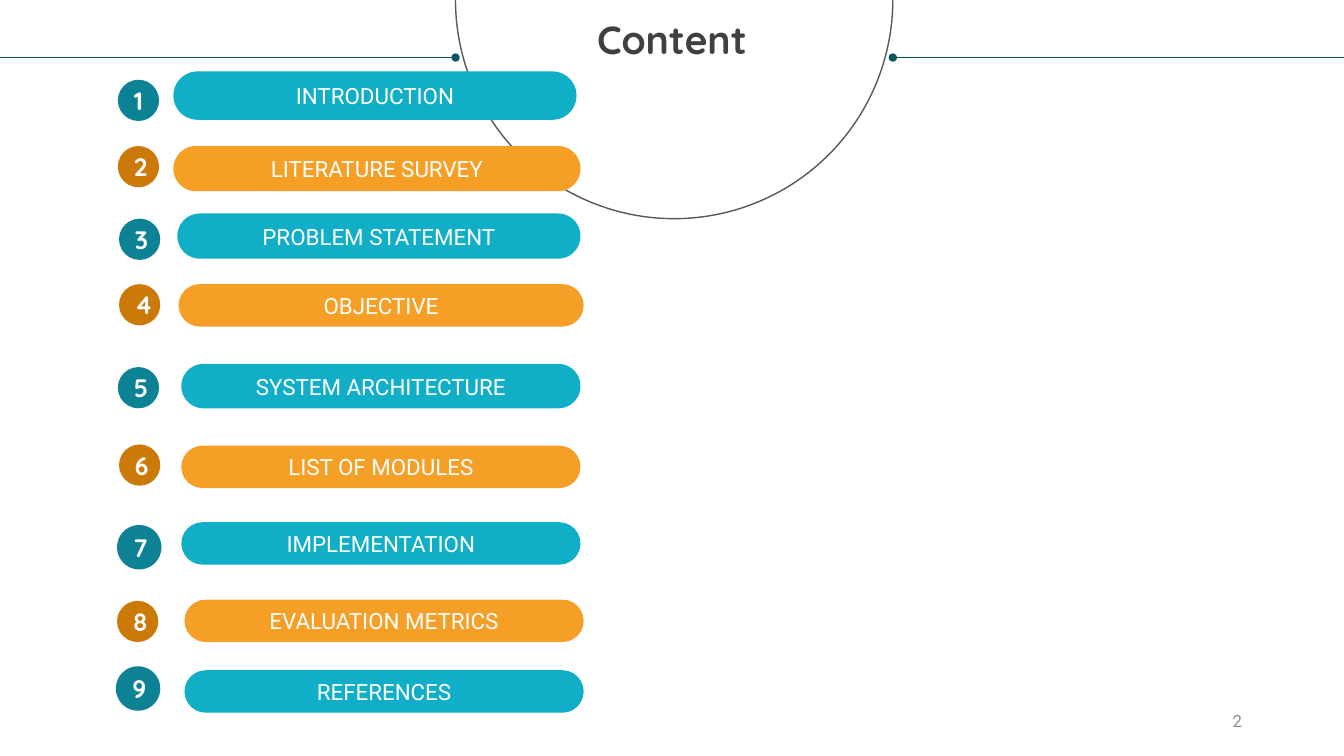
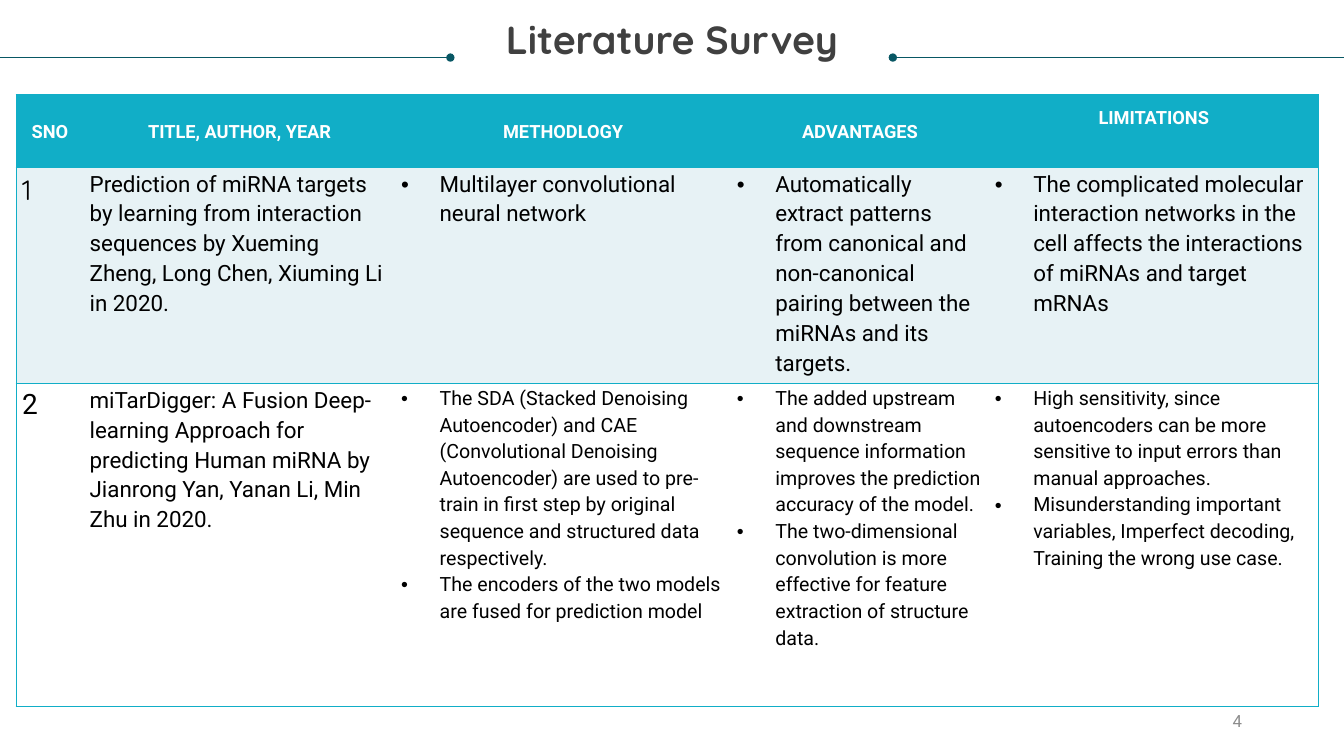
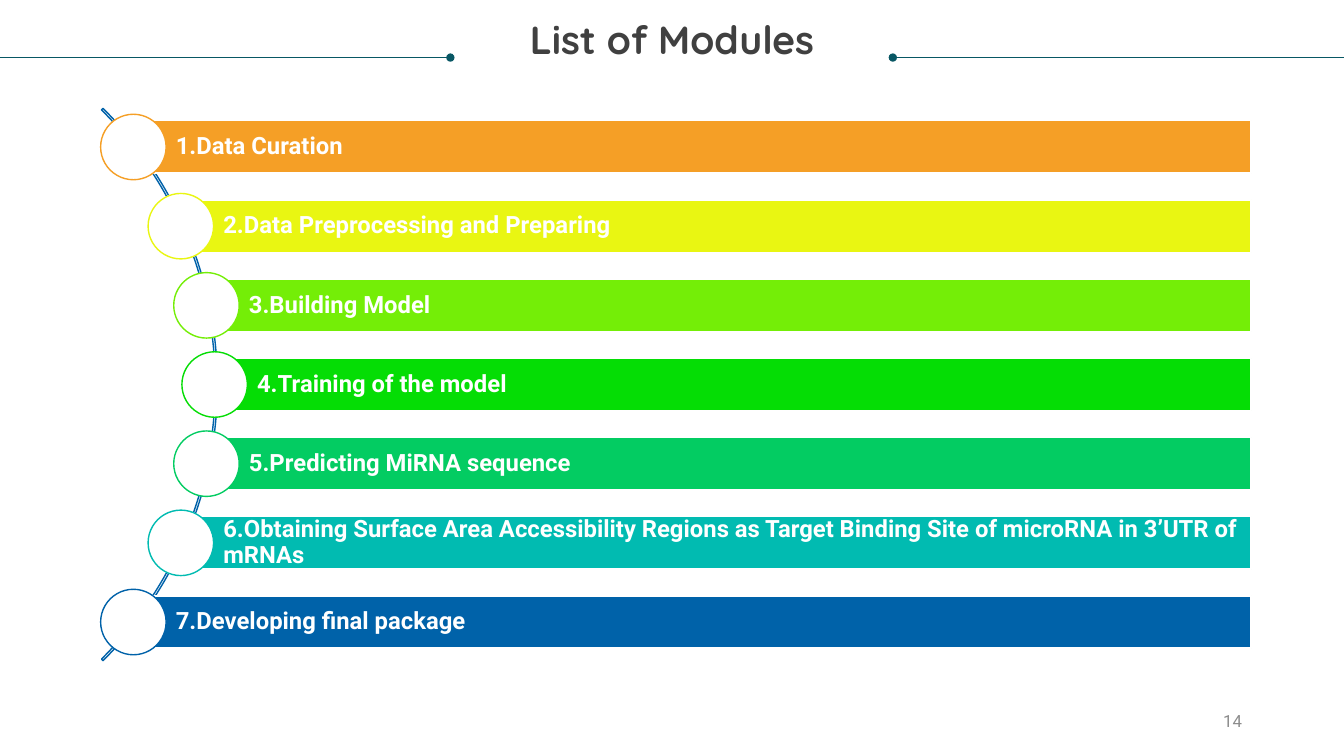
from math import sqrt

from lxml.etree import SubElement
from pptx import Presentation
from pptx.dml.color import RGBColor
from pptx.enum.shapes import MSO_CONNECTOR as Connector, MSO_SHAPE as Preset
from pptx.enum.text import MSO_ANCHOR as Anchor, PP_ALIGN as Align
from pptx.oxml.ns import qn
from pptx.util import Cm, Pt

WHITE = RGBColor(0xFF, 0xFF, 0xFF)
BLACK = RGBColor(0x00, 0x00, 0x00)
TITLE_GREY = RGBColor(0x40, 0x40, 0x40)
CIRCLE_GREY = RGBColor(0x58, 0x58, 0x58)
NUMBER_GREY = RGBColor(0x8C, 0x8C, 0x8C)
RULE_TEAL = RGBColor(0x08, 0x57, 0x64)
TEAL = RGBColor(0x11, 0xAE, 0xC7)
DARK_TEAL = RGBColor(0x0D, 0x82, 0x95)
ORANGE = RGBColor(0xF5, 0x9F, 0x26)
DARK_ORANGE = RGBColor(0xCB, 0x7A, 0x09)
PALE_BLUE = RGBColor(0xE7, 0xF2, 0xF5)
YELLOW = RGBColor(0xE9, 0xF6, 0x12)
LIME = RGBColor(0x74, 0xEE, 0x07)
GREEN = RGBColor(0x05, 0xDD, 0x05)
EMERALD = RGBColor(0x03, 0xCC, 0x62)
TURQUOISE = RGBColor(0x01, 0xBB, 0xB1)
BLUE = RGBColor(0x00, 0x62, 0xA9)

HEADING_FONT = "Quicksand"
BODY_FONT = "Roboto"
SLIDE_WIDTH = 33.87
SLIDE_HEIGHT = 19.05

CONTENTS = [
    ("INTRODUCTION", (1.45, 0, 10.16, 1.22), (0.05, 0.21, 1.04)),
    ("LITERATURE SURVEY", (1.45, 1.88, 10.26, 1.14), (0.05, 1.88, 1.04)),
    ("PROBLEM STATEMENT", (1.55, 3.58, 10.16, 1.14), (0.08, 3.71, 1.04)),
    ("OBJECTIVE", (1.58, 5.36, 10.21, 1.07), (0.08, 5.36, 1.04)),
    ("SYSTEM ARCHITECTURE", (1.65, 7.37, 10.06, 1.12), (0.05, 7.45, 1.04)),
    ("LIST OF MODULES", (1.65, 9.43, 10.06, 1.07), (0.08, 9.4, 1.04)),
    ("IMPLEMENTATION", (1.65, 11.36, 10.06, 1.07), (0.03, 11.43, 1.12)),
    ("EVALUATION METRICS", (1.73, 13.31, 10.06, 1.07), (0.03, 13.34, 1.04)),
    ("REFERENCES", (1.73, 15.09, 10.06, 1.07), (0, 14.99, 1.12)),
]

SURVEY_HEADINGS = ["SNO", "TITLE, AUTHOR, YEAR", "METHODLOGY", "ADVANTAGES", "LIMITATIONS"]
SURVEY_COLUMNS = [1.7, 7.85, 8.46, 6.5, 8.31]
SURVEY_ROWS = [1.83, 5.44, 8.13]
SURVEY_STYLES = [(PALE_BLUE, HEADING_FONT, 16), (WHITE, BODY_FONT, 14)]
SURVEY_PAPERS = [
    [
        ["1"],
        ["Prediction of miRNA targets by learning from interaction sequences by "
         "Xueming Zheng, Long Chen, Xiuming Li in 2020."],
        ["Multilayer convolutional neural network"],
        ["Automatically extract patterns from canonical and non-canonical pairing "
         "between the miRNAs and its targets."],
        ["The complicated molecular interaction networks in the cell affects the "
         "interactions of miRNAs and target mRNAs"],
    ],
    [
        ["2"],
        ["miTarDigger: A Fusion Deep-learning Approach for predicting Human miRNA by "
         "Jianrong Yan, Yanan Li, Min Zhu in 2020."],
        ["The SDA (Stacked Denoising Autoencoder) and CAE (Convolutional Denoising "
         "Autoencoder) are used to pre-train in first step by original sequence and "
         "structured data respectively.",
         "The encoders of the two models are fused for prediction model"],
        ["The added upstream and downstream sequence information improves the "
         "prediction accuracy of the model.",
         "The two-dimensional convolution is more effective for feature extraction "
         "of structure data."],
        ["High sensitivity, since autoencoders can be more sensitive to input errors "
         "than manual approaches.",
         "Misunderstanding important variables, Imperfect decoding, Training the "
         "wrong use case."],
    ],
]

MODULES = [
    ("1.Data Curation", ORANGE),
    ("2.Data Preprocessing and Preparing", YELLOW),
    ("3.Building Model", LIME),
    ("4.Training of the model", GREEN),
    ("5.Predicting MiRNA sequence", EMERALD),
    ("6.Obtaining Surface Area Accessibility Regions as Target Binding Site of "
     "microRNA in 3’UTR of mRNAs", TURQUOISE),
    ("7.Developing final package", BLUE),
]


def in_cm(*lengths):
    return [Cm(length) for length in lengths]


def add_run(paragraph, text, size, color, font=BODY_FONT, bold=False):
    run = paragraph.add_run()
    run.text = text
    run.font.name = font
    run.font.size = Pt(size)
    run.font.bold = bold
    run.font.color.rgb = color


def set_margins(holder, left, top, right, bottom):
    holder.margin_left, holder.margin_top = in_cm(left, top)
    holder.margin_right, holder.margin_bottom = in_cm(right, bottom)


def add_figure(slide, preset, box, fill=None, line=None):
    shape = slide.shapes.add_shape(preset, *in_cm(*box))
    shape.shadow.inherit = False
    if fill is None:
        shape.fill.background()
    else:
        shape.fill.solid()
        shape.fill.fore_color.rgb = fill
    if line is None:
        shape.line.fill.background()
    else:
        shape.line.color.rgb = line
        shape.line.width = Pt(1)
    return shape


def first_paragraph(shape, align, anchor=Anchor.MIDDLE):
    frame = shape.text_frame
    frame.word_wrap = True
    frame.vertical_anchor = anchor
    paragraph = frame.paragraphs[0]
    paragraph.alignment = align
    return paragraph


def add_rule(slide, start, end, y):
    rule = slide.shapes.add_connector(Connector.STRAIGHT, *in_cm(start, y, end, y))
    rule.line.color.rgb = RULE_TEAL
    rule.line.width = Pt(0.5)
    SubElement(rule.line._get_or_add_ln(), qn("a:tailEnd"), type="oval")
    SubElement(rule._element.spPr, qn("a:effectLst"))


def add_header(slide, title, left_rule_end=11.35):
    add_rule(slide, SLIDE_WIDTH, 22.5, 1.45)
    add_rule(slide, 0, left_rule_end, 1.45)
    title_box = slide.shapes.add_textbox(*in_cm(0.64, 0.53, 32.59, 2.16))
    set_margins(title_box.text_frame, 0, 0, 0, 0)
    paragraph = first_paragraph(title_box, Align.CENTER, Anchor.TOP)
    paragraph.line_spacing = 0.9
    add_run(paragraph, title, 28, TITLE_GREY, HEADING_FONT, True)


def add_slide_number(slide, number):
    number_box = slide.shapes.add_textbox(*in_cm(23.93, 17.65, 7.62, 1.02))
    paragraph = first_paragraph(number_box, Align.RIGHT)
    add_run(paragraph, str(number), 12, NUMBER_GREY)


def add_contents(slide, left, top):
    for number, (label, pill_box, badge_box) in enumerate(CONTENTS, 1):
        odd = number % 2 == 1
        x, y, width, height = pill_box
        pill = add_figure(slide, Preset.ROUNDED_RECTANGLE,
                          (left + x, top + y, width, height), TEAL if odd else ORANGE)
        pill.adjustments[0] = 0.5
        add_run(first_paragraph(pill, Align.CENTER), label, 16, WHITE)
        x, y, size = badge_box
        badge = add_figure(slide, Preset.OVAL, (left + x, top + y, size, size),
                           DARK_TEAL if odd else DARK_ORANGE)
        add_run(first_paragraph(badge, Align.CENTER), str(number), 18, WHITE,
                HEADING_FONT, True)


def set_borders(cell, edges):
    properties = cell._tc.get_or_add_tcPr()
    for edge in "LRTB":
        line = SubElement(properties, qn(f"a:ln{edge}"), w=str(Pt(1)))
        if edge in edges:
            fill = SubElement(line, qn("a:solidFill"))
            SubElement(fill, qn("a:srgbClr"), val=str(TEAL))
        else:
            SubElement(line, qn("a:noFill"))


def add_bullet(paragraph):
    properties = paragraph._p.get_or_add_pPr()
    indent = Cm(0.97)
    properties.set("marL", str(indent))
    properties.set("indent", str(-indent))
    SubElement(properties, qn("a:buFont"), typeface="Arial")
    SubElement(properties, qn("a:buChar"), char="•")


def fill_cell(cell, texts, fill, size, color, font=BODY_FONT, bold=False, bullets=False):
    set_margins(cell, 0.15, 0, 0.15, 0)
    cell.fill.solid()
    cell.fill.fore_color.rgb = fill
    frame = cell.text_frame
    for index, text in enumerate(texts):
        paragraph = frame.add_paragraph() if index else frame.paragraphs[0]
        if bullets:
            add_bullet(paragraph)
        paragraph.line_spacing = 1.15
        add_run(paragraph, text, size, color, font, bold)


def add_survey_table(slide, left, top):
    frame = slide.shapes.add_table(
        len(SURVEY_ROWS), len(SURVEY_COLUMNS),
        *in_cm(left, top, sum(SURVEY_COLUMNS), sum(SURVEY_ROWS)))
    table = frame.table
    table.horz_banding = False
    for column, width in zip(table.columns, SURVEY_COLUMNS):
        column.width = Cm(width)
    for row, height in zip(table.rows, SURVEY_ROWS):
        row.height = Cm(height)
    last = len(SURVEY_COLUMNS) - 1
    for row in table.rows:
        for index, cell in enumerate(row.cells):
            set_borders(cell, "TB" + {0: "L", last: "R"}.get(index, ""))
    for index, heading in enumerate(SURVEY_HEADINGS):
        cell = table.cell(0, index)
        fill_cell(cell, [heading], TEAL, 13, WHITE, bold=True)
        cell.vertical_anchor = Anchor.MIDDLE
        cell.text_frame.paragraphs[0].alignment = Align.CENTER
    table.cell(0, last).margin_bottom = Cm(0.74)
    for row, (paper, style) in enumerate(zip(SURVEY_PAPERS, SURVEY_STYLES), 1):
        fill, number_font, bullet_size = style
        number, title, *findings = paper
        fill_cell(table.cell(row, 0), number, fill, 20, BLACK, number_font)
        fill_cell(table.cell(row, 1), title, fill, 16, BLACK)
        for column, texts in enumerate(findings, 2):
            fill_cell(table.cell(row, column), texts, fill, bullet_size, BLACK, bullets=True)


def add_modules(slide, left, top, width, height):
    dot, bar_height = 1.65, 1.32
    arc_radius, dot_radius = 9.84, 9.77
    center_x, center_y = left - 6.87, top + height / 2
    pitch = (height - dot) / (len(MODULES) - 1)
    arc = add_figure(slide, Preset.BLOCK_ARC,
                     (center_x - arc_radius, center_y - arc_radius,
                      2 * arc_radius, 2 * arc_radius), line=BLUE)
    for index, value in enumerate((189, 27, 0.0028)):
        arc.adjustments[index] = value
    for index, (label, color) in enumerate(MODULES):
        y = top + dot / 2 + index * pitch
        x = center_x + sqrt(dot_radius ** 2 - (y - center_y) ** 2)
        bar = add_figure(slide, Preset.RECTANGLE,
                         (x, y - bar_height / 2, left + width - x, bar_height), color, WHITE)
        set_margins(bar.text_frame, 1.07, 0.13, 0.13, 0.13)
        paragraph = first_paragraph(bar, Align.LEFT)
        paragraph.line_spacing = 0.9
        add_run(paragraph, label, 17, WHITE, bold=True)
        add_figure(slide, Preset.OVAL, (x - dot / 2, y - dot / 2, dot, dot), WHITE, color)


def build_contents_slide(slide):
    add_figure(slide, Preset.OVAL, (11.48, -5.51, 11.02, 11.02), line=CIRCLE_GREY)
    add_header(slide, "Content", 11.48)
    add_contents(slide, 2.92, 1.8)
    add_slide_number(slide, 2)


def build_survey_slide(slide):
    add_header(slide, "Literature Survey")
    add_survey_table(slide, 0.41, 2.39)
    add_slide_number(slide, 4)


def build_modules_slide(slide):
    add_header(slide, "List of Modules")
    add_slide_number(slide, 14)
    add_modules(slide, 2.51, 2.88, 29.02, 13.62)


def main():
    presentation = Presentation()
    presentation.slide_width, presentation.slide_height = in_cm(SLIDE_WIDTH, SLIDE_HEIGHT)
    blank = presentation.slide_layouts[6]
    for build in (build_contents_slide, build_survey_slide, build_modules_slide):
        build(presentation.slides.add_slide(blank))
    presentation.save("out.pptx")


if __name__ == "__main__":
    main()
